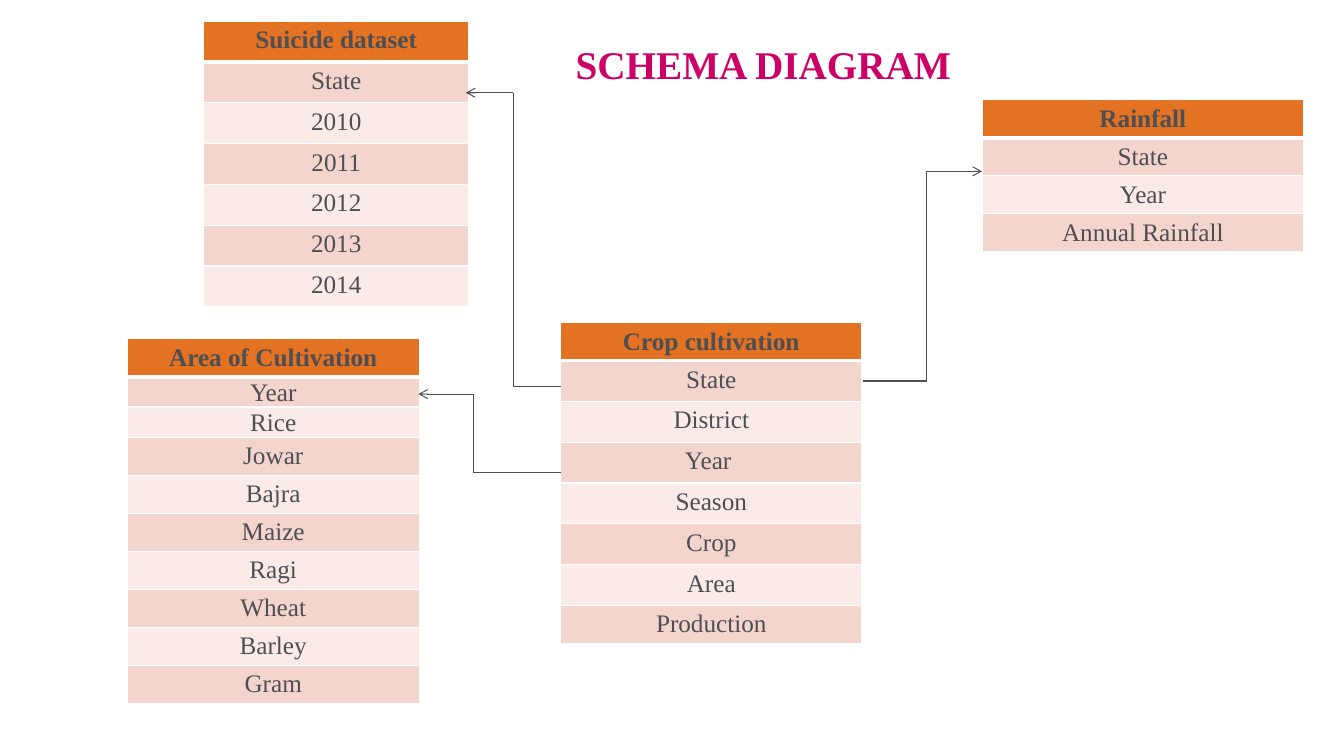
from dataclasses import dataclass
from itertools import pairwise

from lxml import etree
from pptx import Presentation
from pptx.dml.color import RGBColor
from pptx.enum.shapes import MSO_CONNECTOR
from pptx.enum.text import MSO_ANCHOR, MSO_AUTO_SIZE, PP_ALIGN
from pptx.oxml.ns import qn
from pptx.util import Inches, Pt

TITLE = "SCHEMA DIAGRAM"
# Places and lengths are percent of the slide's width or height.
TITLE_BOX = (11.78, 4.13, 90.02, 9.33)
TALL, NORMAL, TIGHT = 5.4, 5.03, 4

# Each table: left, top, width, then (text, row height); the first row is the header.
TABLES = [
    (15.15, 2.8, 19.73, [
        ("Suicide dataset", TALL), ("State", TALL), ("2010", TALL), ("2011", TALL),
        ("2012", TALL), ("2013", TALL), ("2014", TALL)]),
    (41.71, 42.67, 22.43, [
        ("Crop cultivation", NORMAL), ("State", TALL), ("District", TALL), ("Year ", TALL),
        ("Season", TALL), ("Crop", TALL), ("Area", TALL), ("Production", NORMAL)]),
    (73.07, 13.2, 23.93, [
        ("Rainfall", NORMAL), ("State", NORMAL), ("Year", NORMAL),
        ("Annual Rainfall", NORMAL)]),
    (9.45, 44.8, 21.76, [
        ("Area of Cultivation", NORMAL), ("Year", TIGHT), ("Rice", TIGHT),
        ("Jowar", NORMAL), ("Bajra", NORMAL), ("Maize", NORMAL), ("Ragi", NORMAL),
        ("Wheat", NORMAL), ("Barley", NORMAL), ("Gram", NORMAL)]),
]

# Each link: start x, start y, bend x, end x, end y
LINKS = [
    (64.22, 50.4, 68.94, 73.07, 22.67),
    (41.71, 51.07, 38.18, 34.66, 12.27),
    (41.71, 62.53, 35.26, 31.13, 52.13),
]


@dataclass(frozen=True)
class Theme:
    font: str = "Times New Roman"
    title: str = "CC0066"
    ink: str = "4D4F53"
    header: str = "E37222"
    bands: tuple = ("F4D5CD", "FAEBE8")
    border: str = "FFFFFF"
    title_size: float = 28
    cell_size: float = 18
    line: float = 0.75
    thin: float = 1
    thick: float = 3


theme = Theme()
prs = Presentation()
prs.slide_width, prs.slide_height = Inches(13.33), Inches(7.5)


def across(share):
    return round(prs.slide_width * share / 100)


def down(share):
    return round(prs.slide_height * share / 100)


def write(tf, text, *, size, color, bold=False):
    p = tf.paragraphs[0]
    p.alignment = PP_ALIGN.CENTER
    r = p.add_run()
    r.text = text
    r.font.name, r.font.size, r.font.bold = theme.font, Pt(size), bold
    r.font.color.rgb = RGBColor.from_string(color)


def set_borders(cell, top, bottom):
    tcPr = cell._tc.get_or_add_tcPr()
    for side, width in zip("LRTB", (theme.thin, theme.thin, top, bottom)):
        ln = etree.SubElement(tcPr, qn(f"a:ln{side}"), w=str(Pt(width)))
        fill = etree.SubElement(ln, qn("a:solidFill"))
        etree.SubElement(fill, qn("a:srgbClr"), val=theme.border)


def add_entity(s, left, top, width, rows):
    height = sum(h for _, h in rows)
    table = s.shapes.add_table(len(rows), 1, across(left), down(top),
                               across(width), down(height)).table
    table.first_row = table.horz_banding = False
    for i, (text, h) in enumerate(rows):
        table.rows[i].height = down(h)
        cell = table.cell(i, 0)
        if h == TIGHT:
            cell.vertical_anchor = MSO_ANCHOR.BOTTOM
            cell.margin_left = cell.margin_right = cell.margin_top = Inches(0.01)
            cell.margin_bottom = 0
        set_borders(cell, theme.thick if i == 1 else theme.thin,
                    theme.thick if i == 0 else theme.thin)
        cell.fill.solid()
        color = theme.bands[(i - 1) % 2] if i else theme.header
        cell.fill.fore_color.rgb = RGBColor.from_string(color)
        write(cell.text_frame, text, size=theme.cell_size, color=theme.ink, bold=i == 0)


def add_link(s, x1, y1, bend, x2, y2):
    """Draw an elbow of three lines with an arrowhead at its end."""
    points = [(x1, y1), (bend, y1), (bend, y2), (x2, y2)]
    for start, end in pairwise(points):
        line = s.shapes.add_connector(MSO_CONNECTOR.STRAIGHT, across(start[0]), down(start[1]),
                                      across(end[0]), down(end[1]))
        line.line.width = Pt(theme.line)
        line.line.color.rgb = RGBColor.from_string(theme.ink)
        etree.SubElement(line._element.spPr, qn("a:effectLst"))
    etree.SubElement(line.line._get_or_add_ln(), qn("a:tailEnd"), type="arrow")


def add_title(s):
    sp = s.shapes.title
    left, top, width, height = TITLE_BOX
    sp.left, sp.top = across(left), down(top)
    sp.width, sp.height = across(width), down(height)
    tf = sp.text_frame
    tf.word_wrap, tf.auto_size = True, MSO_AUTO_SIZE.NONE
    tf.vertical_anchor, tf.margin_top = MSO_ANCHOR.TOP, Inches(0.09)
    write(tf, TITLE, size=theme.title_size, color=theme.title, bold=True)


def main():
    s = prs.slides.add_slide(prs.slide_layouts[5])
    add_title(s)
    for entity in TABLES:
        add_entity(s, *entity)
    for link in LINKS:
        add_link(s, *link)
    prs.save("out.pptx")


if __name__ == "__main__":
    main()
